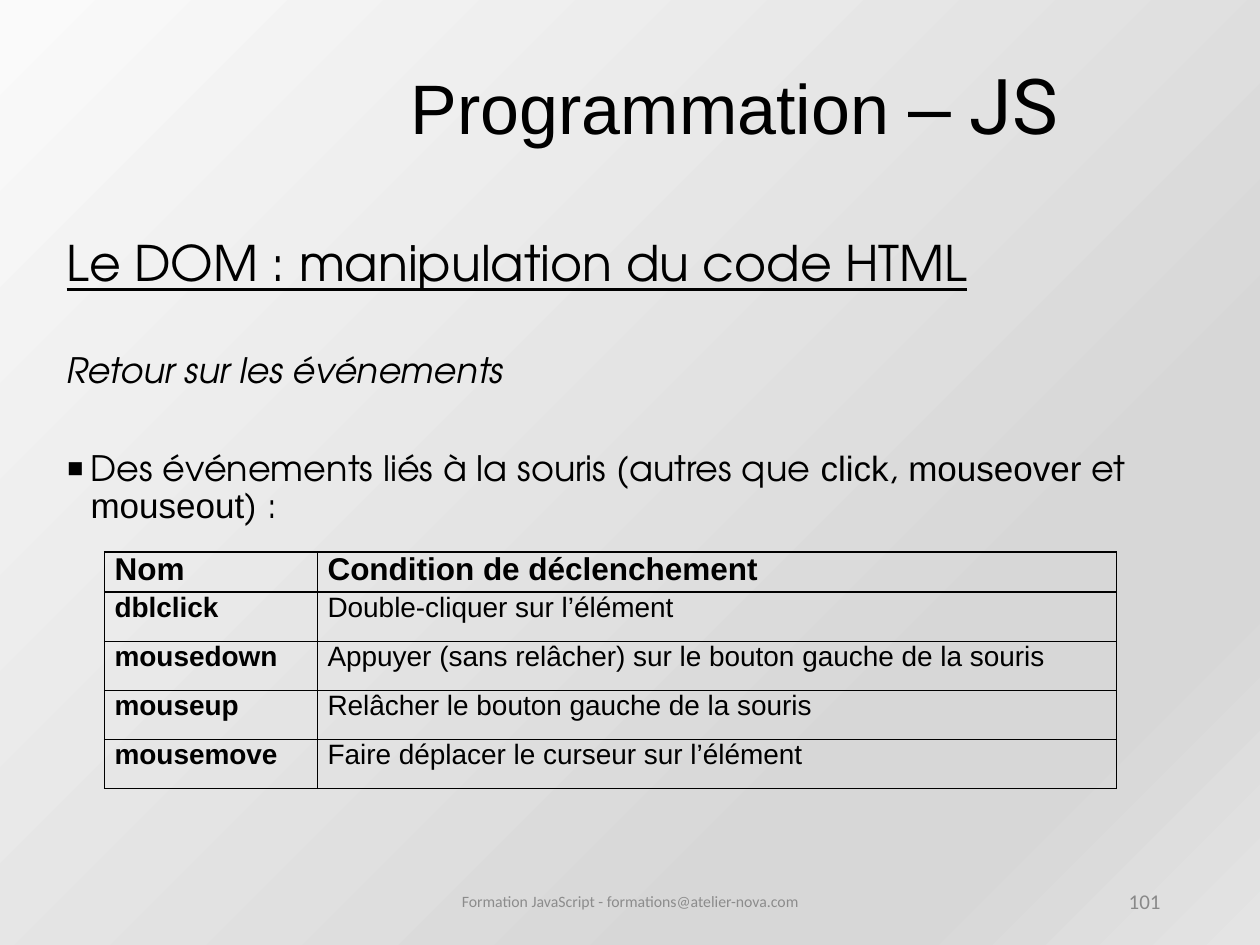
from pptx import Presentation
from pptx.dml.color import RGBColor
from pptx.enum.text import MSO_ANCHOR, PP_ALIGN
from pptx.oxml import parse_xml
from pptx.oxml.ns import nsdecls
from pptx.util import Inches, Pt

theme = {
    "ink": RGBColor(0, 0, 0),
    "foot": RGBColor(0x8C, 0x8C, 0x8C),
    "page": RGBColor(0x89, 0x89, 0x89),
    "stops": [(0, "FAFAFA"), (74, "D7D7D7"), (83, "D7D7D7"), (100, "E4E4E4")],
    "sans": "Arial", "geo": "TeX Gyre Adventor", "tech": "Roboto", "small": "Calibri",
    "title": 40, "mark": 44, "head": 28, "text": 20, "top": 18, "cell": 16,
    "note": 9, "num": 12,
}


def add_box(left, top, width, height, anchor=MSO_ANCHOR.MIDDLE):
    frame = slide.shapes.add_textbox(
        Inches(left), Inches(top), Inches(width), Inches(height)).text_frame
    frame.word_wrap = True
    frame.vertical_anchor = anchor
    return frame


def add_run(para, text, face, size, color=theme["ink"]):
    run = para.add_run()
    run.text = text
    run.font.name = theme[face]
    run.font.size = Pt(theme[size])
    run.font.color.rgb = color
    return run


deck = Presentation()
deck.slide_width, deck.slide_height = Inches(10), Inches(7.5)
slide = deck.slides.add_slide(deck.slide_layouts[6])

# Background gradient
stops = "".join(f'<a:gs pos="{pos * 1000}"><a:srgbClr val="{color}"/></a:gs>'
                for pos, color in theme["stops"])
slide.element.cSld.insert(0, parse_xml(
    f'<p:bg {nsdecls("p", "a")}><p:bgPr><a:gradFill rotWithShape="1">'
    f'<a:gsLst>{stops}</a:gsLst><a:lin ang="2700000" scaled="0"/></a:gradFill>'
    '<a:effectLst/></p:bgPr></p:bg>'))

# Title
para = add_box(2.09, 0.28, 7.48, 1.09).paragraphs[0]
para.alignment = PP_ALIGN.CENTER
for text, face, size in [("Programmation", "sans", "title"), (" ", "tech", "mark"),
                         ("–", "sans", "mark"), (" JS", "tech", "mark")]:
    add_run(para, text, face, size)

# Headings and bullet
frame = add_box(0.43, 1.85, 9.29, 2.45, MSO_ANCHOR.TOP)
head, sub, point = frame.paragraphs[0], frame.add_paragraph(), frame.add_paragraph()
for para, gap in [(head, 0), (sub, 35), (point, 34)]:
    para.line_spacing = 0.9
    para.space_before = Pt(gap)
    props = para._p.get_or_add_pPr()
    props.set("marL", str(Inches(0.19)))
    props.set("indent", str(Inches(-0.19)))
add_run(head, "Le DOM : manipulation du code HTML", "geo", "head").font.underline = True
add_run(sub, "Retour sur les événements", "geo", "text").font.italic = True
for text, face in [("Des événements liés à la souris (autres que ", "geo"),
                   ("click", "sans"), (", ", "geo"), ("mouseover", "sans"),
                   (" et ", "geo"), ("mouseout", "sans"), (") :", "geo")]:
    add_run(point, text, face, "text")
props = point._p.get_or_add_pPr()
for tag in ['buSzPct {} val="150000"', 'buFont {} typeface="Arial"', 'buChar {} char="▪"']:
    props.append(parse_xml(f'<a:{tag.format(nsdecls("a"))}/>'))

# Event table
rows = [
    ("Nom", "Condition de déclenchement"),
    ("dblclick", "Double-cliquer sur l’élément"),
    ("mousedown", "Appuyer (sans relâcher) sur le bouton gauche de la souris"),
    ("mouseup", "Relâcher le bouton gauche de la souris"),
    ("mousemove", "Faire déplacer le curseur sur l’élément"),
]
table = slide.shapes.add_table(
    len(rows), 2, Inches(0.83), Inches(4.38), Inches(8.03), Inches(1.89)).table
table.first_row = table.horz_banding = False
for col, width in zip(table.columns, (1.69, 6.34)):
    col.width = Inches(width)
for r, row in enumerate(rows):
    table.rows[r].height = Inches(0.39 if r else 0.32)
    for c, text in enumerate(row):
        cell = table.cell(r, c)
        cell.margin_left = cell.margin_right = Inches(0.08)
        cell.margin_top = cell.margin_bottom = 0
        run = add_run(cell.text_frame.paragraphs[0], text, "sans", "cell" if r else "top")
        run.font.bold = r == 0 or c == 0
        props = cell._tc.get_or_add_tcPr()
        for side in ("lnL", "lnR", "lnT", "lnB"):
            props.append(parse_xml(
                f'<a:{side} {nsdecls("a")} w="{Pt(1)}"><a:solidFill>'
                f'<a:srgbClr val="{theme["ink"]}"/></a:solidFill></a:{side}>'))
        cell.fill.background()

# Footer and page number
para = add_box(3.31, 6.95, 3.38, 0.4).paragraphs[0]
para.alignment = PP_ALIGN.CENTER
add_run(para, "Formation JavaScript - formations@atelier-nova.com",
        "small", "note", theme["foot"])
para = add_box(7.06, 6.95, 2.25, 0.4).paragraphs[0]
para.alignment = PP_ALIGN.RIGHT
add_run(para, "101", "small", "num", theme["page"])

deck.save("out.pptx")
